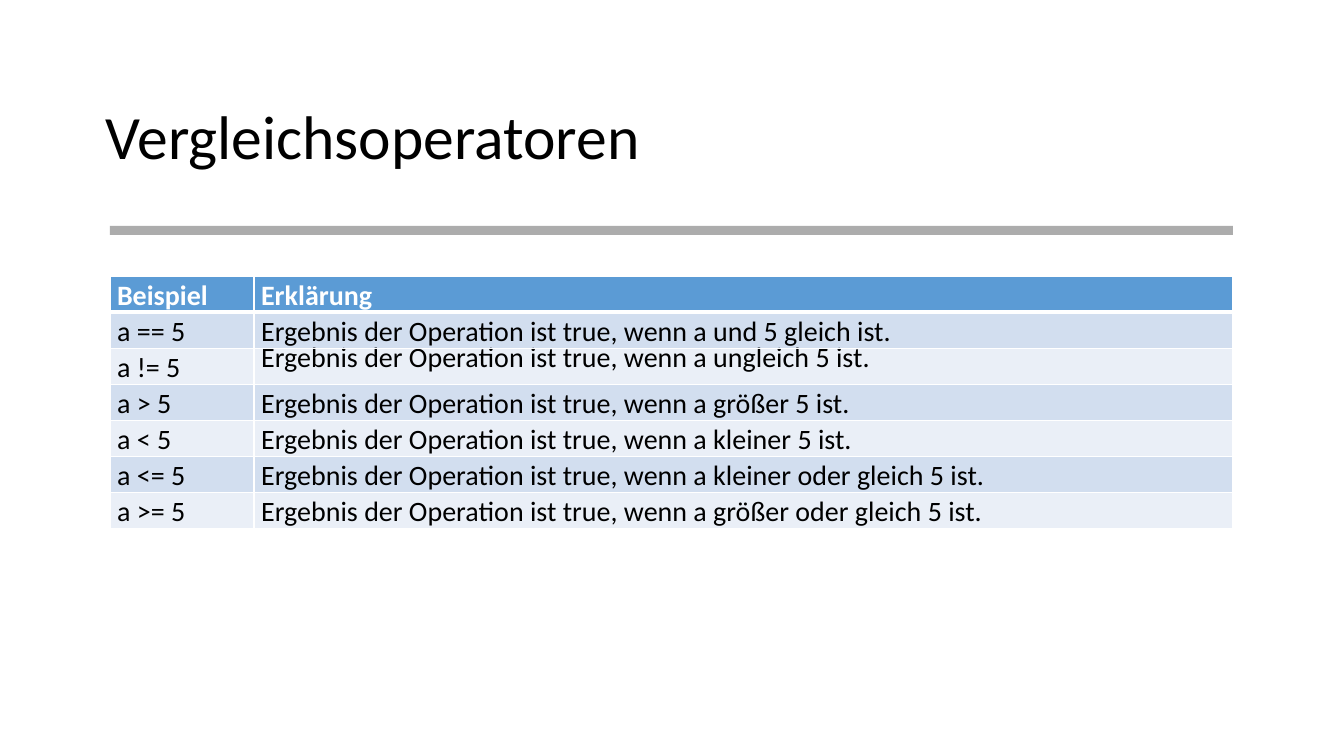
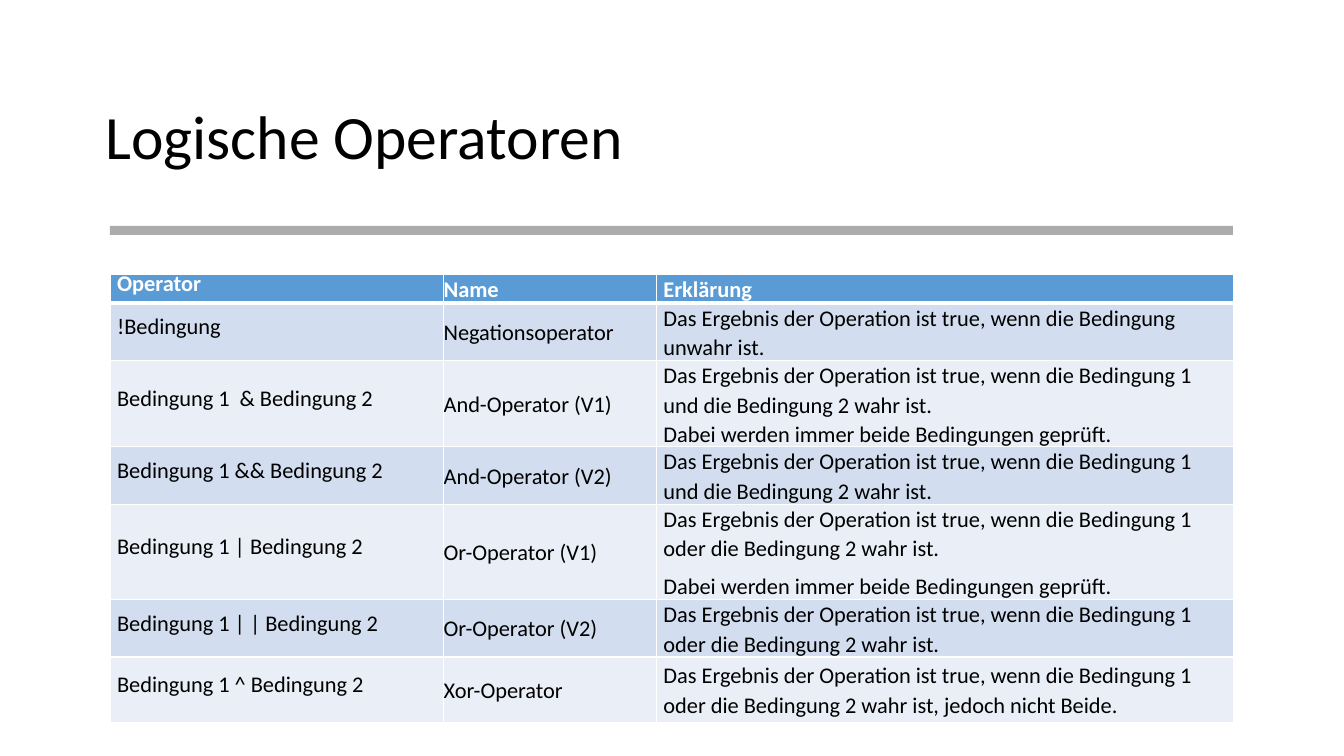
from dataclasses import dataclass
from functools import partial

from lxml.etree import SubElement
from pptx import Presentation
from pptx.dml.color import RGBColor
from pptx.enum.shapes import MSO_SHAPE as Preset
from pptx.enum.text import MSO_ANCHOR as Anchor
from pptx.oxml import parse_xml
from pptx.oxml.ns import nsdecls, qn
from pptx.util import Cm, Pt


@dataclass(frozen=True)
class Theme:
    font: str = "Calibri"
    text: str = "000000"
    header_text: str = "FFFFFF"
    header_fill: str = "5B9BD5"
    band_fills: tuple = ("D2DEEF", "EAEFF7")
    border: str = "FFFFFF"
    rule: str = "808080"
    rule_opacity: int = 65
    title_size: int = 44
    operator_size: int = 20
    logic_size: int = 16
    thin: int = 1
    thick: int = 3


@dataclass(frozen=True)
class Box:
    left: float
    top: float
    width: float
    height: float = 0

    def lengths(self):
        return [Cm(n) for n in (self.left, self.top, self.width, self.height)]


@dataclass(frozen=True)
class Line:
    """One paragraph of a cell; exact lines have a fixed 13 pt pitch."""
    text: str
    exact: bool = False
    before: int = 0


THEME = Theme()
TITLE = Box(2.41, 1.68, 29.03, 3.68)
RULE = Box(2.77, 5.69, 28.3, 0.23)
INSET = 0.18
Tight = partial(Line, exact=True)

RESULT = "Ergebnis der Operation ist true, wenn "
BOTH_TRUE = f"Das {RESULT}die Bedingung 1 und die Bedingung 2 wahr ist."
ANY_TRUE = f"Das {RESULT}die Bedingung 1 oder die Bedingung 2 wahr ist"
ALWAYS_CHECKED = "Dabei werden immer beide Bedingungen geprüft."

COMPARISONS = [
    ("Beispiel", "Erklärung"),
    ("a == 5", RESULT + "a und 5 gleich ist."),
    ("a != 5", Tight(RESULT + "a ungleich 5 ist.")),
    ("a > 5", RESULT + "a größer 5 ist."),
    ("a < 5", RESULT + "a kleiner 5 ist."),
    ("a <= 5", RESULT + "a kleiner oder gleich 5 ist."),
    ("a >= 5", RESULT + "a größer oder gleich 5 ist."),
]
LOGIC = [
    (Tight("Operator"), "Name", "Erklärung"),
    (Tight("!Bedingung"), "Negationsoperator",
     f"Das {RESULT}die Bedingung unwahr ist."),
    (Tight("Bedingung 1  & Bedingung 2"), "And-Operator (V1)",
     (BOTH_TRUE, ALWAYS_CHECKED)),
    (Tight("Bedingung 1 && Bedingung 2"), "And-Operator (V2)", BOTH_TRUE),
    (Tight("Bedingung 1 | Bedingung 2"), "Or-Operator (V1)",
     (ANY_TRUE + ".", Tight(ALWAYS_CHECKED, before=14))),
    (Tight("Bedingung 1 | | Bedingung 2"), "Or-Operator (V2)", ANY_TRUE + "."),
    (Tight("Bedingung 1 ^ Bedingung 2"), "Xor-Operator",
     ANY_TRUE + ", jedoch nicht Beide."),
]


def style_runs(para, size, color, bold=False):
    for span in para.runs:
        span.font.name = THEME.font
        span.font.size = Pt(size)
        span.font.bold = bold
        span.font.color.rgb = RGBColor.from_string(color)


def add_title(page, box, text):
    frame = page.shapes.add_textbox(*box.lengths()).text_frame
    frame.word_wrap = True
    frame.vertical_anchor = Anchor.MIDDLE
    frame.text = text
    para = frame.paragraphs[0]
    para.line_spacing = 0.9
    style_runs(para, THEME.title_size, THEME.text)


def add_rule(page, box):
    bar = page.shapes.add_shape(Preset.RECTANGLE, *box.lengths())
    bar.shadow.inherit = False
    bar.line.fill.background()
    bar.fill.solid()
    bar.fill.fore_color.rgb = RGBColor.from_string(THEME.rule)
    color = bar.fill._xPr.find(f"{qn('a:solidFill')}/{qn('a:srgbClr')}")
    SubElement(color, qn("a:alpha"), val=str(THEME.rule_opacity * 1000))


def set_borders(cell, row):
    """Draw thin borders, with a thick one between header and body."""
    weights = {"L": THEME.thin, "R": THEME.thin,
               "T": THEME.thick if row == 1 else THEME.thin,
               "B": THEME.thick if row == 0 else THEME.thin}
    properties = cell._tc.get_or_add_tcPr()
    for position, (side, weight) in enumerate(weights.items()):
        properties.insert(position, parse_xml(
            f'<a:ln{side} {nsdecls("a")} w="{Pt(weight)}"><a:solidFill>'
            f'<a:srgbClr val="{THEME.border}"/></a:solidFill></a:ln{side}>'))


def fill_cell(cell, content, row, size, inset):
    is_header = row == 0
    fill = THEME.header_fill if is_header else THEME.band_fills[(row - 1) % 2]
    cell.fill.solid()
    cell.fill.fore_color.rgb = RGBColor.from_string(fill)
    set_borders(cell, row)
    cell.vertical_anchor = Anchor.MIDDLE
    cell.margin_left = cell.margin_right = Cm(inset)
    cell.margin_top = cell.margin_bottom = 0

    parts = content if isinstance(content, tuple) else (content,)
    lines = [Line(part) if isinstance(part, str) else part for part in parts]
    cell.text = "\n".join(line.text for line in lines)
    for para, line in zip(cell.text_frame.paragraphs, lines):
        para.line_spacing = Pt(13) if line.exact else 1.07
        para.space_before = Pt(line.before)
        para.space_after = Pt(1 if line.exact else 0)
        style_runs(para, size, THEME.header_text if is_header else THEME.text,
                   is_header)


def add_operator_table(page, box, rows, widths, heights, size, insets):
    table = page.shapes.add_table(len(rows), len(widths), *box.lengths()).table
    for column, width in zip(table.columns, widths):
        column.width = Cm(width)
    for row, height in zip(table.rows, heights):
        row.height = Cm(height)
    for row, contents in enumerate(rows):
        for column, content in enumerate(contents):
            fill_cell(table.cell(row, column), content, row, size,
                      insets[column])


def add_operator_page(deck, title, rows, top, widths, heights, size, insets):
    page = deck.slides.add_slide(deck.slide_layouts[6])
    add_title(page, TITLE, title)
    add_rule(page, RULE)
    box = Box(RULE.left, top, sum(widths), sum(heights))
    add_operator_table(page, box, rows, widths, heights, size, insets)


def main():
    deck = Presentation()
    deck.slide_width, deck.slide_height = Cm(33.87), Cm(19.05)
    add_operator_page(
        deck, "Vergleichsoperatoren", COMPARISONS, top=6.96,
        widths=(3.63, 24.67), heights=[0.79] + [0.86] * 6,
        size=THEME.operator_size, insets=(INSET, INSET))
    add_operator_page(
        deck, "Logische Operatoren", LOGIC, top=6.91,
        widths=(8.41, 5.36, 14.55),
        heights=(0.53, 1.09, 1.65, 1.09, 1.8, 1.09, 1.65),
        size=THEME.logic_size, insets=(INSET, 0, INSET))
    deck.save("out.pptx")


if __name__ == "__main__":
    main()
